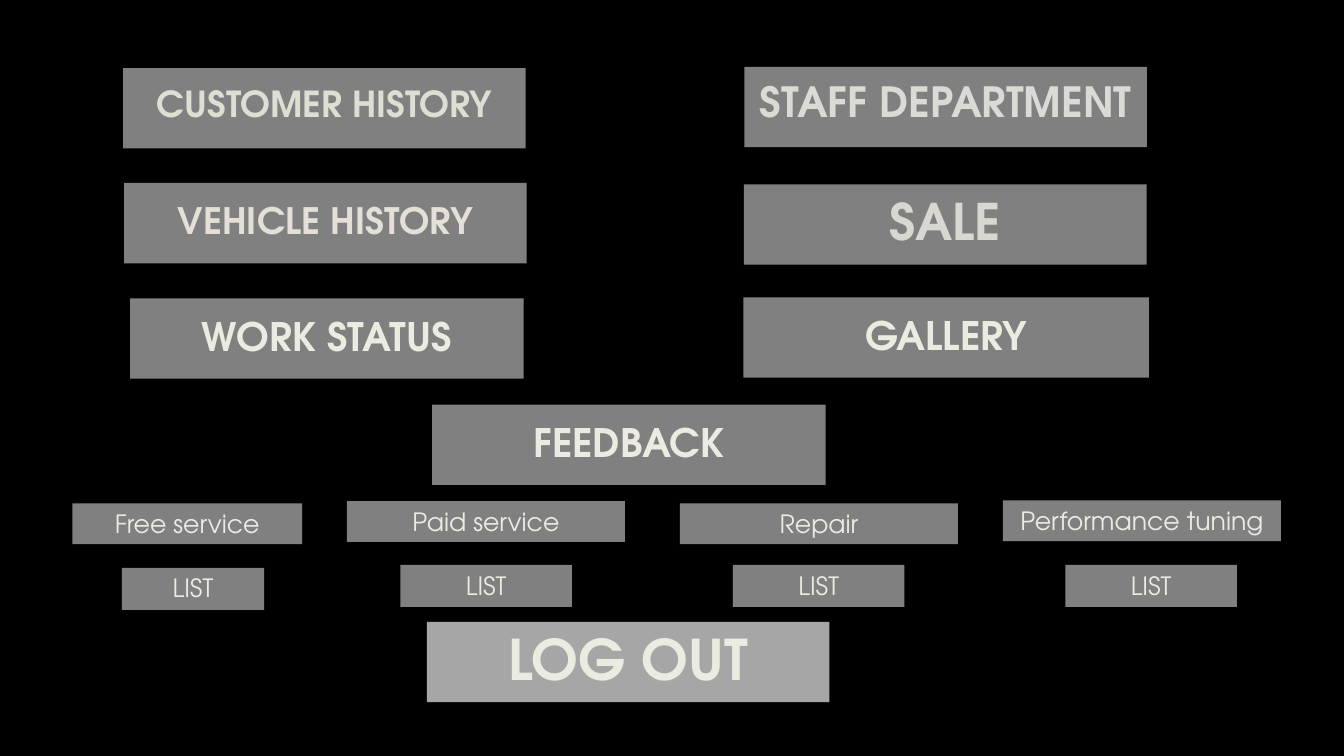
from pptx import Presentation
from pptx.dml.color import RGBColor
from pptx.enum.shapes import MSO_SHAPE
from pptx.enum.text import MSO_ANCHOR, MSO_AUTO_SIZE, PP_ALIGN
from pptx.util import Pt

RECTANGLE = MSO_SHAPE.RECTANGLE
TOP, MIDDLE = MSO_ANCHOR.TOP, MSO_ANCHOR.MIDDLE
GROW = MSO_AUTO_SIZE.SHAPE_TO_FIT_TEXT
CENTER = PP_ALIGN.CENTER
FONT = "TeX Gyre Adventor"
COLORS = {
    "background": "000000",
    "button": "808080",
    "log out": "A6A6A6",
    "ivory": "EBEBE1",
    "sale": "D8D7D1",
    "staff": "DBDAD5",
    "vehicle": "E4E0D7",
    "customer": "DDDFD3",
}
BUTTON_HEIGHT = 57.4

deck = Presentation()
deck.slide_width, deck.slide_height = Pt(960), Pt(540)
slide = deck.slides.add_slide(deck.slide_layouts[6])
slide.background.fill.solid()
slide.background.fill.fore_color.rgb = RGBColor.from_string(COLORS["background"])


def add_button(label, left, top, width, height, size, color="ivory", fill="button"):
    box = slide.shapes.add_shape(RECTANGLE, Pt(left), Pt(top), Pt(width), Pt(height))
    box.shadow.inherit = False
    box.fill.solid()
    box.fill.fore_color.rgb = RGBColor.from_string(COLORS[fill])
    box.line.fill.background()
    box.text_frame.word_wrap = True
    para = box.text_frame.paragraphs[0]
    para.alignment = CENTER
    span = para.add_run()
    span.text = label
    span.font.name = FONT
    span.font.size = Pt(size)
    span.font.color.rgb = RGBColor.from_string(COLORS[color])
    return box


# Main menu: label, left, top, width, text size, line spacing, text colour, fill
menu = [
    ("CUSTOMER HISTORY", 87.9, 48.6, 287.6, 25.6, 0.7, "customer", "button"),
    ("STAFF DEPARTMENT", 531.7, 47.7, 287.6, 29.7, 0.7, "staff", "button"),
    ("VEHICLE HISTORY", 88.7, 130.7, 287.6, 26, 0.9, "vehicle", "button"),
    ("SALE", 531.4, 131.6, 287.6, 36, 0.9, "sale", "button"),
    ("WORK STATUS", 92.9, 213.1, 281.2, 28, 0.9, "ivory", "button"),
    ("GALLERY", 531, 212.4, 289.6, 28, 0.9, "ivory", "button"),
    ("FEEDBACK", 308.6, 289, 281.2, 28, 0.9, "ivory", "button"),
    ("LOG OUT", 304.9, 444.2, 287.6, 40, 0.9, "ivory", "log out"),
]
for label, left, top, width, size, spacing, color, fill in menu:
    button = add_button(label, left, top, width, BUTTON_HEIGHT, size, color, fill)
    button.text_frame.vertical_anchor = MIDDLE
    para = button.text_frame.paragraphs[0]
    para.line_spacing = spacing
    para.runs[0].font.bold = True

# Services, each above its list: (left, top, width) of both boxes
services = [
    ("Free service", (51.8, 359.5, 164), (87.1, 405.6, 101.5)),
    ("Paid service", (247.8, 357.9, 198.6), (286, 403.6, 122.6)),
    ("Repair", (485.7, 359.5, 198.6), (523.5, 403.6, 122.6)),
    ("Performance tuning", (716.4, 357.4, 198.6), (760.9, 403.6, 122.6)),
]
for service, service_place, list_place in services:
    for label, place, height in ((service, service_place, 29.1), ("LIST", list_place, 30)):
        button = add_button(label, *place, height, 18)
        button.text_frame.vertical_anchor = TOP
        button.text_frame.auto_size = GROW

deck.save("out.pptx")
